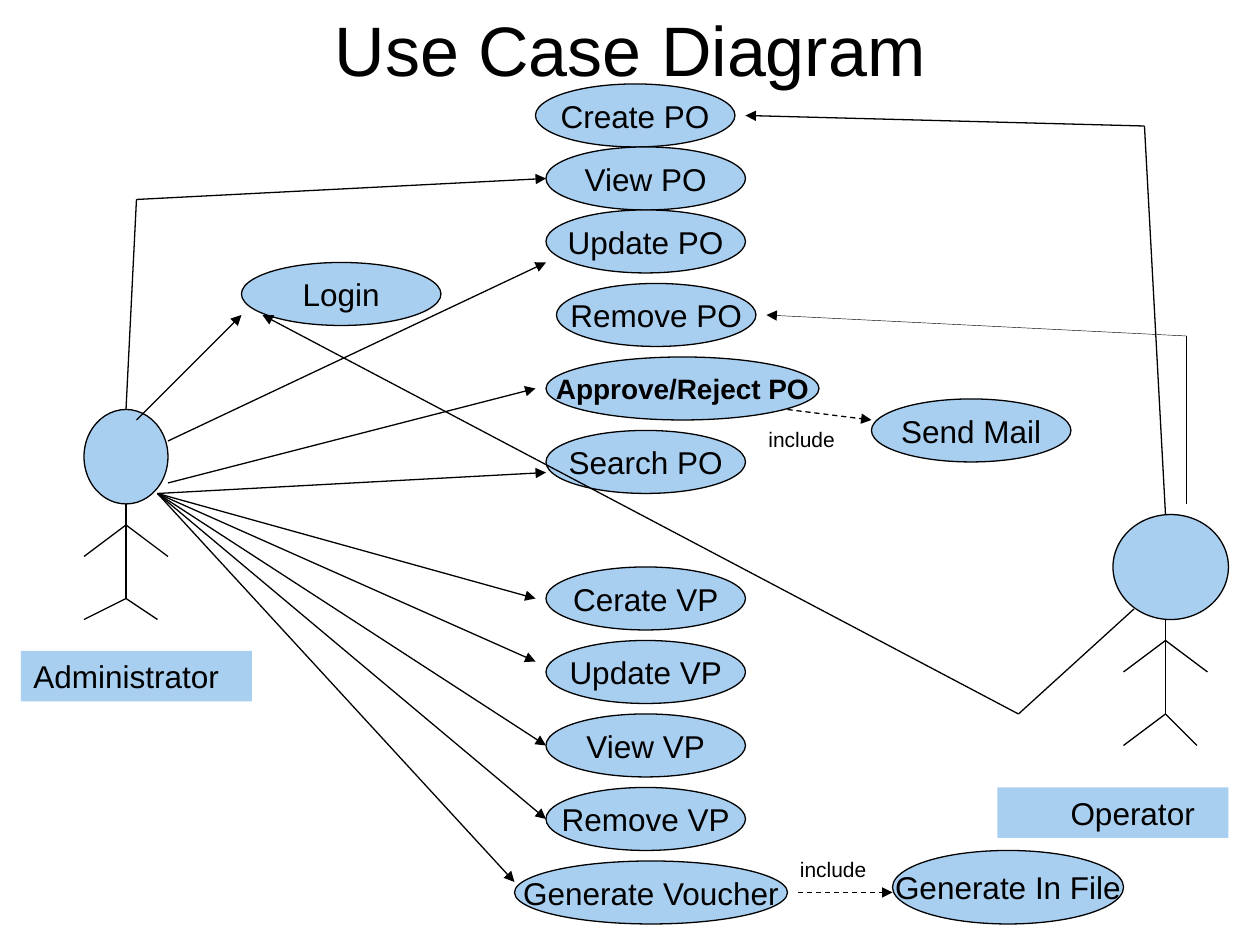
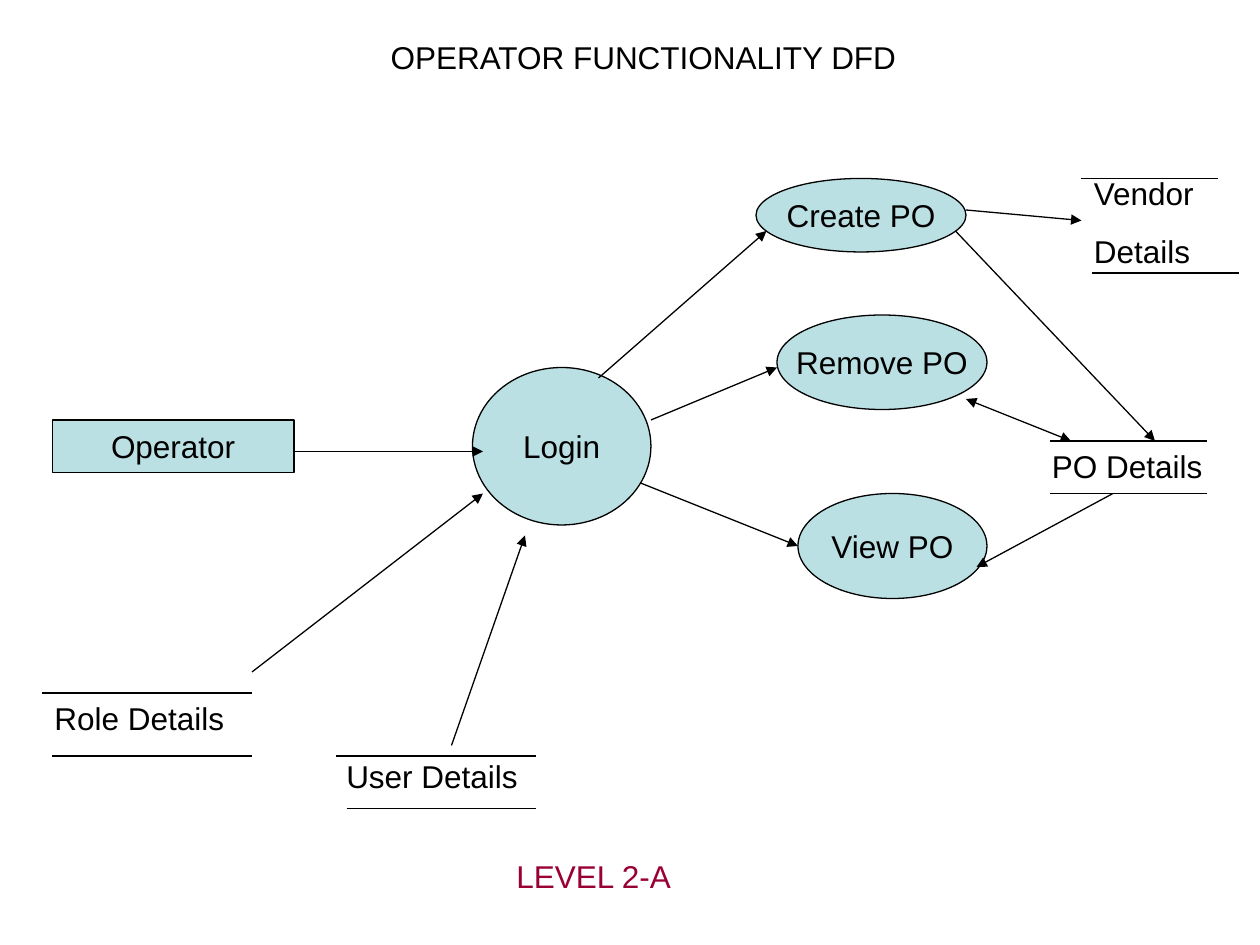
from dataclasses import dataclass

from lxml import etree
from pptx import Presentation
from pptx import util as u
from pptx.dml.color import RGBColor
from pptx.enum import dml, shapes, text
from pptx.oxml.ns import qn


@dataclass(frozen=True)
class Theme:
    """Colours, type sizes and line widths shared by the slides."""
    font: str = "Arial"
    ink: str = "000000"
    accent: str = "990033"
    use_case: str = "A8CEF0"
    process: str = "BBE0E3"
    heading: float = 40
    body: float = 18
    strong: float = 16
    small: float = 12
    line: float = 0.74
    hairline: float = 0.26
    paragraph_gap: float = 11.2


THEME = Theme()
COLUMNS, ROWS = 120, 90
CELL = u.Inches(10) // COLUMNS
OVAL = shapes.MSO_SHAPE.OVAL
RECTANGLE = shapes.MSO_SHAPE.RECTANGLE


def grid(*cells):
    """Turn grid columns and rows into slide lengths."""
    return [round(cell * CELL) for cell in cells]


def write(shape, words, size=THEME.body, colour=THEME.ink, bold=False,
          align=text.PP_ALIGN.LEFT, anchor=text.MSO_ANCHOR.TOP, wrap=True):
    """Put formatted words into a shape."""
    frame = shape.text_frame
    frame.text = words
    frame.word_wrap = wrap
    frame.auto_size = text.MSO_AUTO_SIZE.NONE
    frame.vertical_anchor = anchor
    frame.margin_left = frame.margin_right = u.Inches(0.1)
    frame.margin_top = frame.margin_bottom = u.Inches(0.05)
    for index, paragraph in enumerate(frame.paragraphs):
        paragraph.alignment = align
        paragraph.space_before = u.Pt(THEME.paragraph_gap if index else 0)
        for run in paragraph.runs:
            run.font.name = THEME.font
            run.font.size = u.Pt(size)
            run.font.bold = bold
            run.font.color.rgb = RGBColor.from_string(colour)


def add_slide(deck, title, box, **style):
    """Add a title-only slide with its title placed on the grid."""
    slide = deck.slides.add_slide(deck.slide_layouts[5])
    heading = slide.shapes.title
    heading.left, heading.top, heading.width, heading.height = grid(*box)
    write(heading, title, **style)
    return slide


def add_node(slide, kind, box, fill, words="", outlined=True, **style):
    """Add a filled shape with centred words."""
    node = slide.shapes.add_shape(kind, *grid(*box))
    node.shadow.inherit = False
    node.fill.solid()
    node.fill.fore_color.rgb = RGBColor.from_string(fill)
    if outlined:
        node.line.color.rgb = RGBColor.from_string(THEME.ink)
        node.line.width = u.Pt(THEME.line)
    else:
        node.line.fill.background()
    if words:
        write(node, words, **{"align": text.PP_ALIGN.CENTER, "wrap": False,
                              "anchor": text.MSO_ANCHOR.MIDDLE, **style})
    return node


def add_label(slide, box, words, **style):
    """Add a plain text box."""
    write(slide.shapes.add_textbox(*grid(*box)), words, **style)


def add_line(slide, start, end, ends=(), width=THEME.line, dashed=False):
    """Join two grid points, with arrowheads at the named ends."""
    line = slide.shapes.add_connector(
        shapes.MSO_CONNECTOR.STRAIGHT, *grid(*start, *end))
    line.line.color.rgb = RGBColor.from_string(THEME.ink)
    line.line.width = u.Pt(width)
    if dashed:
        line.line.dash_style = dml.MSO_LINE.DASH
    properties = line._element.spPr
    outline = properties.find(qn("a:ln"))
    for end_name in ends:
        etree.SubElement(outline, qn(f"a:{end_name}"), type="triangle")
    etree.SubElement(properties, qn("a:effectLst"))


def add_arrow(slide, *points, **style):
    """Draw a route through the points that ends in an arrowhead."""
    for start, end in zip(points[:-2], points[1:-1]):
        add_line(slide, start, end)
    add_line(slide, points[-2], points[-1], ends=("tailEnd",), **style)


def add_actor(slide, head, neck, stride):
    """Draw a stick figure below its oval head."""
    x, y = neck
    shoulder, hip = (x, y + 2), (x, y + 9)
    add_node(slide, OVAL, head, THEME.use_case)
    add_line(slide, neck, hip)
    for side in (-4, 4):
        add_line(slide, shoulder, (x + side, y + 5))
    for side in (-4, 3):
        add_line(slide, hip, (x + side, y + 9 + stride))


def add_actor_name(slide, left, top, name, indent):
    """Add the filled name plate of an actor."""
    plate = add_node(slide, RECTANGLE, (left, top, 22, 4.8), THEME.use_case,
                     name, outlined=False, align=text.PP_ALIGN.LEFT,
                     anchor=text.MSO_ANCHOR.TOP, wrap=True)
    plate.text_frame.margin_left = u.Inches(indent)


def add_store(slide, box, words, rules, **style):
    """Add a data store: words between an upper and a lower rule."""
    add_label(slide, box, words, **style)
    for left, right, row in rules:
        add_line(slide, (left, row), (right, row))


def build_use_cases(deck):
    """Build the use case diagram."""
    slide = add_slide(deck, "Use Case Diagram", (0, 0, COLUMNS, ROWS),
                      size=THEME.heading, align=text.PP_ALIGN.CENTER)
    cases = [
        ("Login", 23, 25), ("Send Mail", 83, 38), ("Create PO", 51, 8),
        ("View PO", 52, 14), ("Update PO", 52, 20), ("Remove PO", 53, 27),
        ("Search PO", 52, 41), ("Cerate VP", 52, 54), ("Update VP", 52, 61),
        ("View VP", 52, 68), ("Remove VP", 52, 75),
    ]
    for name, left, top in cases:
        add_node(slide, OVAL, (left, top, 19, 6), THEME.use_case, name)
    add_node(slide, OVAL, (52, 34, 26, 6), THEME.use_case,
             "Approve/Reject PO", size=THEME.strong, bold=True)
    add_node(slide, OVAL, (49, 82, 26, 6), THEME.use_case, "Generate Voucher")
    add_node(slide, OVAL, (85, 81, 22, 7), THEME.use_case, "Generate In File")

    add_actor(slide, (8, 39, 8, 9), (12, 48), stride=2)
    add_actor(slide, (106, 49, 11, 10), (111, 59), stride=3)
    add_actor_name(slide, 2, 62, "Administrator", indent=0.1)
    add_actor_name(slide, 95, 75, "Operator", indent=0.58)

    add_arrow(slide, (13, 40), (23, 30))
    add_arrow(slide, (16, 42), (52, 25))
    add_arrow(slide, (16, 46), (51, 37))
    for target in [(52, 45), (51, 57), (51, 63), (52, 71), (52, 78), (49, 84)]:
        add_arrow(slide, (15, 47), target)
    add_arrow(slide, (12, 39), (13, 19), (52, 17))
    add_arrow(slide, (108, 58), (97, 68), (25, 30))
    add_arrow(slide, (111, 49), (109, 12), (71, 11))
    add_arrow(slide, (113, 48), (113, 32), (73, 30), width=THEME.hairline)

    includes = [((75, 39), (83, 40), (72, 40)), ((76, 85), (85, 85), (75, 81))]
    for start, end, corner in includes:
        add_arrow(slide, start, end, dashed=True)
        add_label(slide, (*corner, 18, 3.6), "include", size=THEME.small)


def build_operator_flow(deck):
    """Build the operator data flow diagram."""
    slide = add_slide(deck, "OPERATOR FUNCTIONALITY DFD", (36, 3, 52, 10.3))
    add_node(slide, RECTANGLE, (5, 40, 23, 5), THEME.process, "Operator")
    processes = [
        ("Login", (45, 35, 17, 15)), ("Create PO", (72, 17, 20, 7)),
        ("Remove PO", (74, 30, 20, 9)), ("View PO", (76, 47, 18, 10)),
    ]
    for name, box in processes:
        add_node(slide, OVAL, box, THEME.process, name)

    add_store(slide, (103, 16, 14, 10.3), "Vendor\nDetails",
              [(103, 116, 17), (104, 118, 26)])
    add_store(slide, (99, 42, 18, 4.8), "PO Details",
              [(100, 115, 42), (100, 115, 47)])
    add_store(slide, (4, 66, 25, 4.8), "Role Details",
              [(4, 24, 66), (5, 24, 72)])
    add_store(slide, (31.8, 71.5, 18.7, 4.8), "User Details",
              [(32, 51, 72), (33, 51, 77)], wrap=False)

    flows = [
        ((28, 43), (46, 43)), ((57, 36), (73, 22)), ((62, 40), (74, 35)),
        ((61, 46), (76, 52)), ((92, 20), (103, 21)), ((91, 22), (110, 42)),
        ((106, 47), (93, 54)), ((24, 64), (46, 47)), ((43, 71), (50, 51)),
    ]
    for start, end in flows:
        add_arrow(slide, start, end)
    add_line(slide, (92, 38), (102, 42), ends=("headEnd", "tailEnd"))
    add_label(slide, (48, 81, 25, 4.8), "LEVEL 2-A", colour=THEME.accent)


def main():
    """Build and save the deck."""
    deck = Presentation()
    deck.slide_width, deck.slide_height = grid(COLUMNS, ROWS)
    build_use_cases(deck)
    build_operator_flow(deck)
    deck.save("out.pptx")


main()
